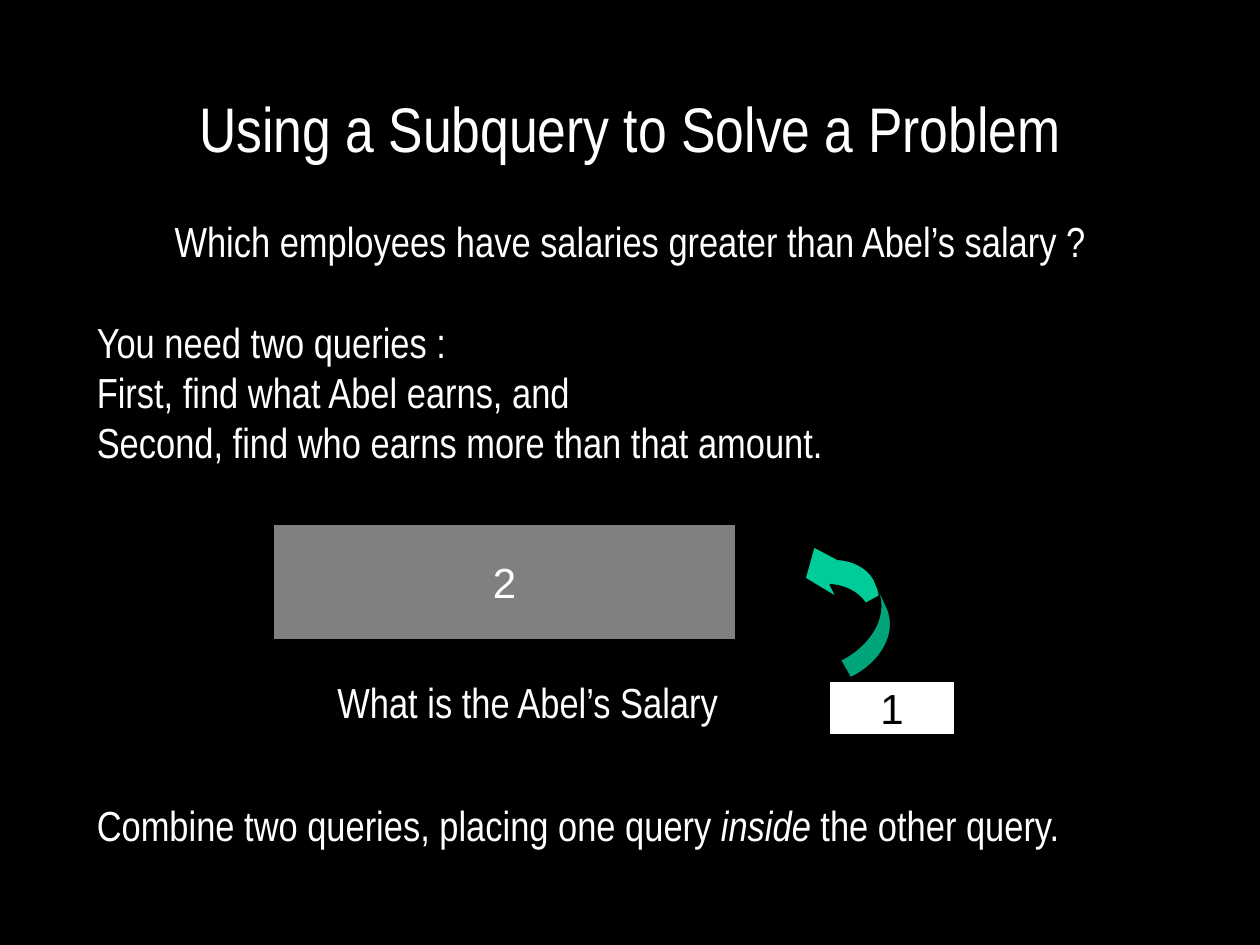
from pptx import Presentation
from pptx.dml.color import RGBColor
from pptx.enum.shapes import MSO_SHAPE
from pptx.enum.text import MSO_ANCHOR, PP_ALIGN
from pptx.util import Inches, Pt

BLACK = RGBColor(0x00, 0x00, 0x00)
WHITE = RGBColor(0xFF, 0xFF, 0xFF)
GRAY = RGBColor(0x80, 0x80, 0x80)
GREEN = RGBColor(0x00, 0xCC, 0x99)
DARK_GREEN = RGBColor(0x00, 0xA3, 0x7A)
CURVE_STEPS = 16


def curve(start, control1, control2, end):
    """Points along a cubic Bezier curve, without its start."""
    points = []
    for step in range(1, CURVE_STEPS + 1):
        t = step / CURVE_STEPS
        weights = ((1 - t) ** 3, 3 * t * (1 - t) ** 2, 3 * t * t * (1 - t), t ** 3)
        ends = (start, control1, control2, end)
        points.append(tuple(sum(w * p[axis] for w, p in zip(weights, ends))
                            for axis in (0, 1)))
    return points


class SlideBuilder:
    text_font = "Arial Narrow"
    number_font = "Arial"
    size = 24

    def __init__(self, slide):
        self.slide = slide
        self.slide.background.fill.solid()
        self.slide.background.fill.fore_color.rgb = BLACK

    def style(self, paragraph, font_name, size, color, align):
        paragraph.alignment = align
        paragraph.font.name = font_name
        paragraph.font.size = Pt(size)
        paragraph.font.color.rgb = color

    def paint(self, shape, color):
        shape.shadow.inherit = False
        shape.fill.solid()
        shape.fill.fore_color.rgb = color
        shape.line.color.rgb = BLACK
        shape.line.width = Pt(0.75)

    def text(self, left, top, width, height, content, size=size, align=PP_ALIGN.LEFT):
        box = self.slide.shapes.add_textbox(
            Inches(left), Inches(top), Inches(width), Inches(height))
        box.text_frame.word_wrap = True
        paragraph = box.text_frame.paragraphs[0]
        paragraph.text = content
        self.style(paragraph, self.text_font, size, WHITE, align)
        return box.text_frame

    def add_paragraph(self, frame, pieces, space_before):
        """Append a paragraph made of (text, italic) pieces."""
        paragraph = frame.add_paragraph()
        paragraph.space_before = Pt(space_before)
        for content, italic in pieces:
            run = paragraph.add_run()
            run.text = content
            if italic:
                run.font.italic = True
        self.style(paragraph, self.text_font, self.size, WHITE, PP_ALIGN.LEFT)

    def numbered_box(self, left, top, width, height, number, fill, color):
        box = self.slide.shapes.add_shape(
            MSO_SHAPE.RECTANGLE, Inches(left), Inches(top), Inches(width), Inches(height))
        self.paint(box, fill)
        frame = box.text_frame
        frame.word_wrap = False
        frame.vertical_anchor = MSO_ANCHOR.MIDDLE
        frame.paragraphs[0].text = number
        self.style(frame.paragraphs[0], self.number_font, self.size, color, PP_ALIGN.CENTER)

    def outline(self, points, fill):
        """Closed shape through points in inches; the builder keeps whole units only."""
        corners = [(Inches(x), Inches(y)) for x, y in points]
        builder = self.slide.shapes.build_freeform(*corners[0])
        builder.add_line_segments(corners[1:], close=True)
        self.paint(builder.convert_to_shape(), fill)

    def curved_arrow(self):
        tail_outer, tail_inner = (6.75, 5.38), (6.67, 5.24)
        bend, fold = (6.95, 4.63), (6.98, 4.73)
        outer_edge = [tail_outer,
                      *curve(tail_outer, (7, 5.26), (7.13, 5.02), (7.04, 4.82)), bend]
        inner_edge = curve(fold, (7.03, 4.92), (6.89, 5.13), tail_inner)
        neck_top, neck_bottom = (6.65, 4.44), (6.59, 4.64)
        head = [*curve(bend, (6.91, 4.52), (6.79, 4.45), neck_top),
                (6.46, 4.34), (6.39, 4.59), (6.64, 4.74), neck_bottom,
                *curve(neck_bottom, (6.71, 4.65), (6.81, 4.7), (6.87, 4.79)), fold]
        # The listed neck and head points follow the arrow's own turning.
        shade = [*curve(bend, (6.96, 4.64), (6.97, 4.66), (6.97, 4.68)), fold]
        self.outline(outer_edge + head + inner_edge, GREEN)
        self.outline(outer_edge + shade + inner_edge, DARK_GREEN)


def main():
    deck = Presentation()
    deck.slide_width, deck.slide_height = Inches(10), Inches(7.5)
    page = SlideBuilder(deck.slides.add_slide(deck.slide_layouts[6]))

    page.text(0, 0.66, 10, 0.7, "Using a Subquery to Solve a Problem",
              size=36, align=PP_ALIGN.CENTER)
    page.text(0, 1.66, 10, 0.5,
              "Which employees have salaries greater than Abel’s salary ?",
              align=PP_ALIGN.CENTER)
    steps = page.text(0.67, 2.46, 8.83, 4.34,
                      "You need two queries :\vFirst, find what Abel earns, and\v"
                      "Second, find who earns more than that amount.")
    page.add_paragraph(steps, [("Combine two queries, placing one query ", False),
                               ("inside", True), (" the other query.", False)],
                       space_before=190)
    page.text(2.58, 5.32, 3.83, 0.5, "What is the Abel’s Salary")
    page.curved_arrow()
    page.numbered_box(2.17, 4.16, 3.67, 0.92, "2", GRAY, WHITE)
    page.numbered_box(6.58, 5.41, 1, 0.42, "1", WHITE, BLACK)

    deck.save("out.pptx")


if __name__ == "__main__":
    main()
